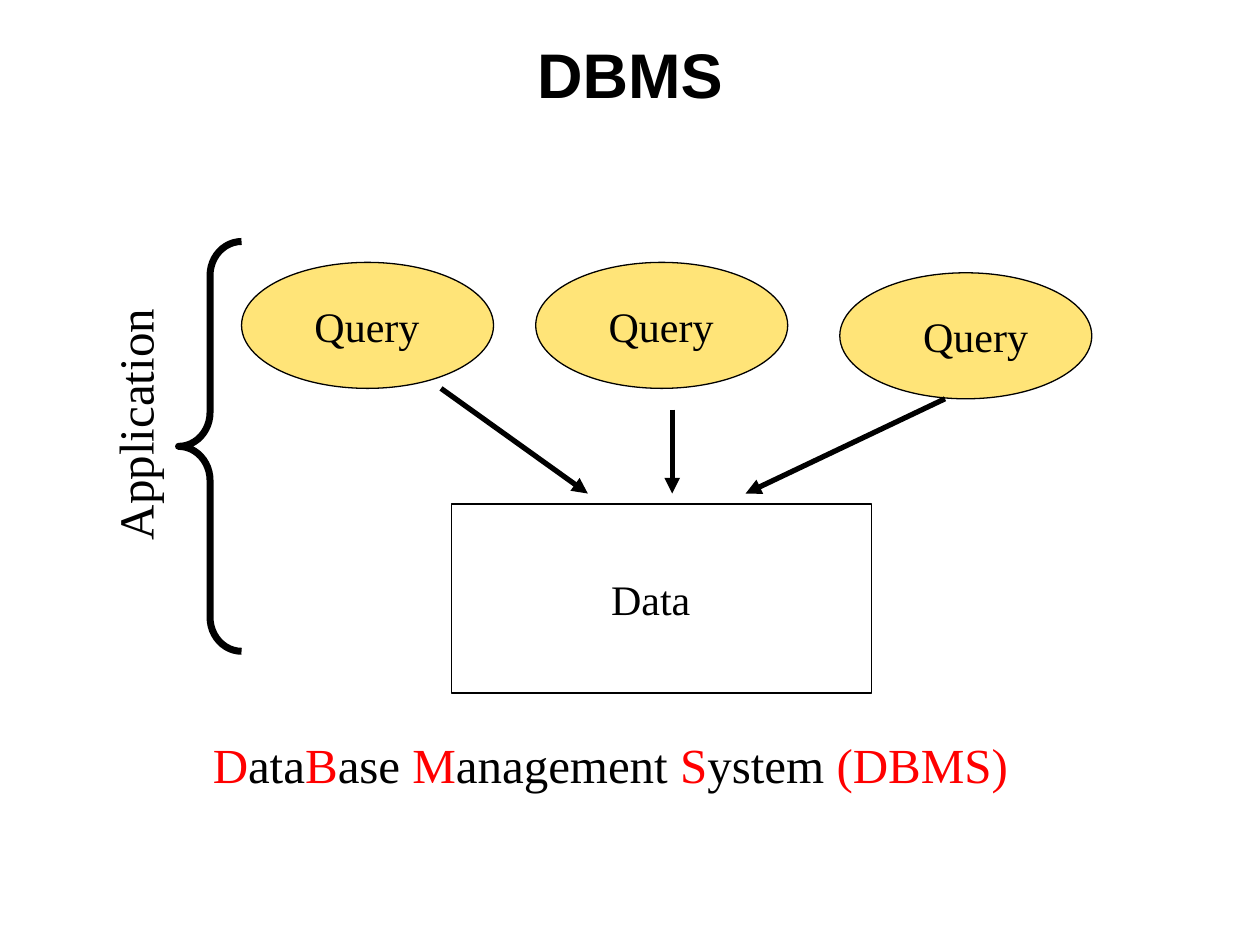
from dataclasses import dataclass

from lxml import etree
from pptx import Presentation
from pptx import util as u
from pptx.dml import color
from pptx.enum import shapes, text
from pptx.oxml import ns

COLORS = {"ink": "000000", "paper": "FFFFFF", "query": "FFCC00", "accent": "FF0000"}
SERIF = "Times New Roman"


@dataclass(frozen=True)
class Box:
    left: float
    top: float
    width: float
    height: float

    def lengths(self) -> list:
        return [u.Cm(v) for v in (self.left, self.top, self.width, self.height)]


@dataclass(frozen=True)
class Query:
    left: float
    top: float
    label_shift: float


@dataclass(frozen=True)
class Arrow:
    start: tuple[float, float]
    end: tuple[float, float]


QUERIES = [Query(10.8, 5.29, 1.22), Query(4.87, 5.29, 1.22), Query(16.93, 5.5, 1.43)]
ARROWS = [
    Arrow((8.89, 7.83), (11.85, 9.95)),
    Arrow((13.55, 8.26), (13.55, 9.95)),
    Arrow((19.05, 8.04), (15.03, 9.95)),
]
EXPANSION = [
    ("D", "accent"), ("ata", "ink"), ("B", "accent"), ("ase ", "ink"),
    ("M", "accent"), ("anagement ", "ink"), ("S", "accent"), ("ystem ", "ink"),
    ("(DBMS)", "accent"),
]


def rgb(name: str) -> color.RGBColor:
    return color.RGBColor.from_string(COLORS[name])


def apply(target, values: dict) -> None:
    for name, value in values.items():
        setattr(target, name, value)


def add_label(slide, box: Box, runs: list[tuple[str, str]], size: float,
              font: dict | None = None, frame: dict | None = None,
              align=text.PP_ALIGN.LEFT, rotation: float = 0) -> None:
    shape = slide.shapes.add_textbox(*box.lengths())
    shape.rotation = rotation
    apply(shape.text_frame, {"word_wrap": False, **(frame or {})})
    paragraph = shape.text_frame.paragraphs[0]
    paragraph.alignment = align
    for words, color_name in runs:
        run = paragraph.add_run()
        run.text = words
        apply(run.font, {"name": SERIF, "size": u.Pt(size), **(font or {})})
        run.font.color.rgb = rgb(color_name)


def add_outline(slide, kind, box: Box, fill: str | None, width: float = 0.74):
    shape = slide.shapes.add_shape(kind, *box.lengths())
    shape.shadow.inherit = False
    if fill:
        shape.fill.solid()
        shape.fill.fore_color.rgb = rgb(fill)
    else:
        shape.fill.background()
    shape.line.color.rgb = rgb("ink")
    shape.line.width = u.Pt(width)
    return shape


def add_query(slide, query: Query) -> None:
    ellipse = add_outline(slide, shapes.MSO_SHAPE.OVAL,
                          Box(query.left, query.top, 5.08, 2.54), "query")
    fill_color = ellipse.fill._xPr.find(ns.qn("a:solidFill"))[0]
    etree.SubElement(fill_color, ns.qn("a:alpha"), val="53000")
    label = Box(query.left + query.label_shift, query.top + 0.64, 2.62, 1.27)
    add_label(slide, label, [("Query", "ink")], 24)


def add_arrow(slide, arrow: Arrow) -> None:
    ends = [u.Cm(v) for v in (*arrow.start, *arrow.end)]
    connector = slide.shapes.add_connector(shapes.MSO_CONNECTOR.STRAIGHT, *ends)
    connector.line.color.rgb = rgb("ink")
    connector.line.width = u.Pt(3)
    etree.SubElement(connector.line._get_or_add_ln(), ns.qn("a:tailEnd"), type="triangle")
    etree.SubElement(connector._element.spPr, ns.qn("a:effectLst"))


def main() -> None:
    presentation = Presentation()
    apply(presentation, {"slide_width": u.Cm(25.4), "slide_height": u.Cm(19.05)})
    slide = presentation.slides.add_slide(presentation.slide_layouts[6])

    add_label(slide, Box(1.48, 0.64, 22.44, 1.69), [("DBMS", "ink")], 36,
              {"name": "Arial", "bold": True},
              {"word_wrap": True, "vertical_anchor": text.MSO_ANCHOR.MIDDLE,
               "margin_top": 0, "margin_bottom": 0},
              text.PP_ALIGN.CENTER)

    add_outline(slide, shapes.MSO_SHAPE.RECTANGLE, Box(9.1, 10.16, 8.47, 3.81), "paper")
    add_label(slide, Box(12.07, 11.43, 2.12, 1.27), [("Data", "ink")], 24)

    for query in QUERIES:
        add_query(slide, query)

    brace = add_outline(slide, shapes.MSO_SHAPE.LEFT_BRACE,
                        Box(3.6, 4.87, 1.27, 8.26), None, 4)
    brace.adjustments[0] = 0.54
    add_label(slide, Box(0.13, 7.83, 5.16, 1.45), [("Application", "ink")], 28,
              rotation=270)
    add_label(slide, Box(4.04, 14.68, 16.54, 1.45), EXPANSION, 28)

    for arrow in ARROWS:
        add_arrow(slide, arrow)

    presentation.save("out.pptx")


main()
